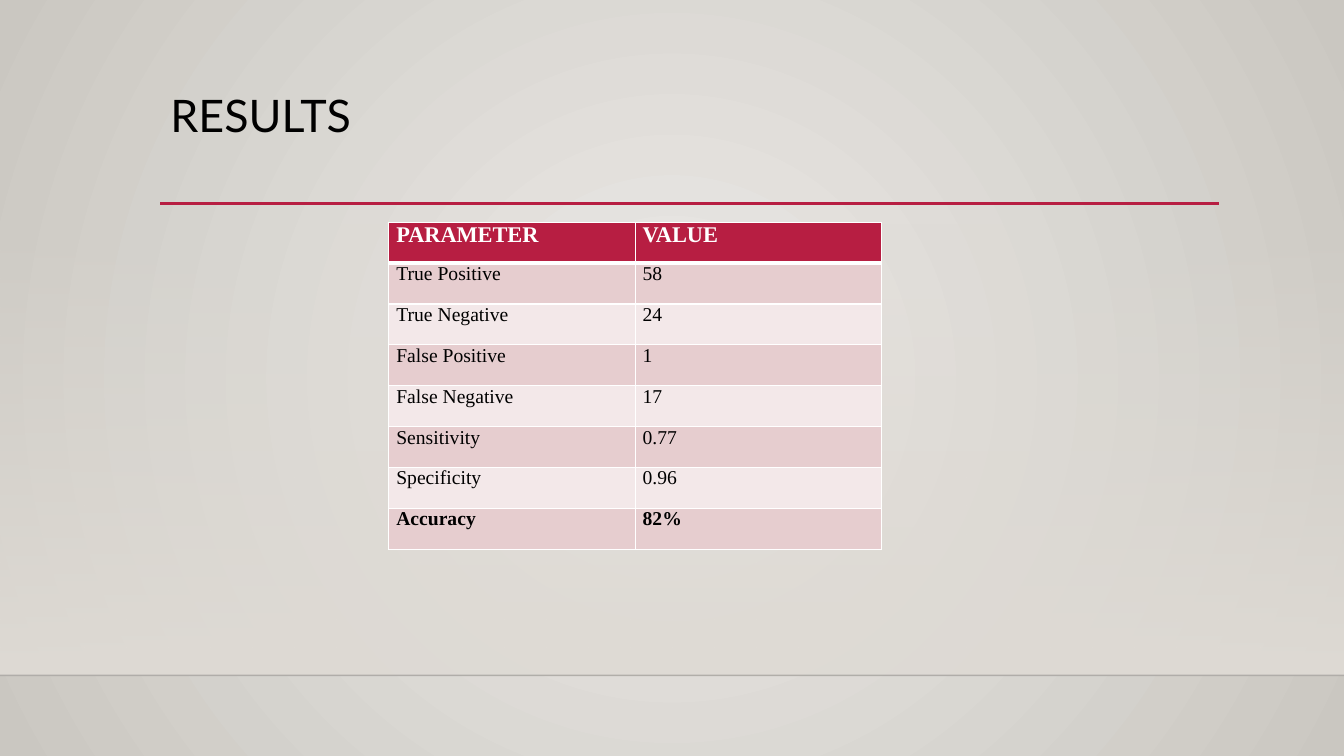
from lxml.etree import SubElement
from pptx import Presentation
from pptx.dml.color import RGBColor
from pptx.enum.shapes import MSO_CONNECTOR as Connector, MSO_SHAPE as Shape
from pptx.enum.text import MSO_ANCHOR as Anchor, PP_ALIGN as Align
from pptx.oxml.ns import qn
from pptx.util import Pt

WIDTH, HEIGHT = 960, 540
FLOOR = 482.4
ACCENT, WHITE, BLACK = "B71E42", "FFFFFF", "000000"
BANDS = ("F3E8E9", "E6CDCF")
RESULTS = [
    ("PARAMETER", "VALUE"),
    ("True Positive", "58"),
    ("True Negative", "24"),
    ("False Positive", "1"),
    ("False Negative", "17"),
    ("Sensitivity", "0.77"),
    ("Specificity", "0.96"),
    ("Accuracy", "82%"),
]


def paint(color, value):
    """Set a colour from a hex string."""
    color.rgb = RGBColor.from_string(value)


def set_gradient(fill, *values):
    """Give a fill a two-stop gradient."""
    fill.gradient()
    for stop, value in zip(fill.gradient_stops, values):
        paint(stop.color, value)


def set_alpha(color_element, percent):
    """Set the opacity of a colour element."""
    SubElement(color_element, qn("a:alpha"), val=str(percent * 1000))


def add_run(paragraph, text, font_name, size, color, bold=False):
    """Append a formatted run."""
    run = paragraph.add_run()
    run.text = text
    run.font.name, run.font.size, run.font.bold = font_name, Pt(size), bold
    paint(run.font.color, color)


def add_rule(slide, left, top, width, color, weight):
    """Draw a horizontal line without a shadow."""
    rule = slide.shapes.add_connector(
        Connector.STRAIGHT, Pt(left), Pt(top), Pt(left + width), Pt(top))
    paint(rule.line.color, color)
    rule.line.width = Pt(weight)
    SubElement(rule.element.spPr, qn("a:effectLst"))
    return rule


def add_backdrop(slide, left, top, width, height):
    """Build the radial background, the fading wall and the floor line."""
    set_gradient(slide.background.fill, "ECEAE7", "CAC7C1")
    gradient = slide.element.find(".//" + qn("a:gradFill"))
    gradient.remove(gradient.find(qn("a:lin")))
    radial = SubElement(gradient, qn("a:path"), path="circle")
    SubElement(radial, qn("a:fillToRect"),
               {side: "50000" for side in "ltrb"})

    wall = slide.shapes.add_shape(
        Shape.RECTANGLE, Pt(left), Pt(top), Pt(width), Pt(height))
    wall.shadow.inherit = False
    wall.line.fill.background()
    set_gradient(wall.fill, "DFDBD5", "DFDBD5")
    wall.fill.gradient_angle = 270
    set_alpha(wall.element.find(".//" + qn("a:srgbClr")), 0)

    floor_line = add_rule(slide, left, top + height, width, "000001", 1)
    set_alpha(floor_line.element.find(".//" + qn("a:srgbClr")), 20)


def add_heading(slide, left, top, width, height):
    """Fill the title placeholder and underline it."""
    add_rule(slide, left, top + height - 0.6, width, ACCENT, 2.5)
    title = slide.shapes.title
    title.left, title.top = Pt(left), Pt(top)
    title.width, title.height = Pt(width), Pt(height)
    title.text_frame.vertical_anchor = Anchor.TOP
    paragraph = title.text_frame.paragraphs[0]
    paragraph.alignment = Align.LEFT
    paragraph.line_spacing = 0.9
    add_run(paragraph, "RESULTS", "Lato", 32, BLACK)


def set_borders(cell, weights):
    """Draw white borders in left, right, top, bottom order."""
    properties = cell._tc.get_or_add_tcPr()
    for index, (side, weight) in enumerate(zip("LRTB", weights)):
        border = properties.makeelement(
            qn("a:ln" + side), {"w": str(Pt(weight))})
        solid = SubElement(border, qn("a:solidFill"))
        SubElement(solid, qn("a:srgbClr"), val=WHITE)
        properties.insert(index, border)


def add_results_table(slide, left, top, width, height):
    """Build the banded table of results."""
    columns = len(RESULTS[0])
    table = slide.shapes.add_table(
        len(RESULTS), columns, Pt(left), Pt(top), Pt(width), Pt(height)).table
    for column in table.columns:
        column.width = Pt(width / columns)
    for row_index, values in enumerate(RESULTS):
        header = row_index == 0
        table.rows[row_index].height = Pt(height / len(RESULTS))
        for column_index, value in enumerate(values):
            cell = table.cell(row_index, column_index)
            cell.margin_left = cell.margin_right = Pt(5.4)
            cell.margin_top = cell.margin_bottom = 0
            cell.fill.solid()
            paint(cell.fill.fore_color, ACCENT if header else BANDS[row_index % 2])
            set_borders(cell, (1, 1, 3 if row_index == 1 else 1, 3 if header else 1))
            paragraph = cell.text_frame.paragraphs[0]
            paragraph.alignment = Align.JUSTIFY
            add_run(paragraph, value, "Times New Roman",
                    16 if header else 14, WHITE if header else BLACK,
                    header or row_index == len(RESULTS) - 1)


def main():
    """Build and save the results slide."""
    presentation = Presentation()
    presentation.slide_width, presentation.slide_height = Pt(WIDTH), Pt(HEIGHT)
    slide = presentation.slides.add_slide(presentation.slide_layouts[5])
    add_backdrop(slide, 0, 159, WIDTH, FLOOR - 159)
    add_heading(slide, 114.5, 63.3, 756, 82.5)
    add_results_table(slide, 277.7, 158.7, 352, 233.6)
    presentation.save("out.pptx")


main()
